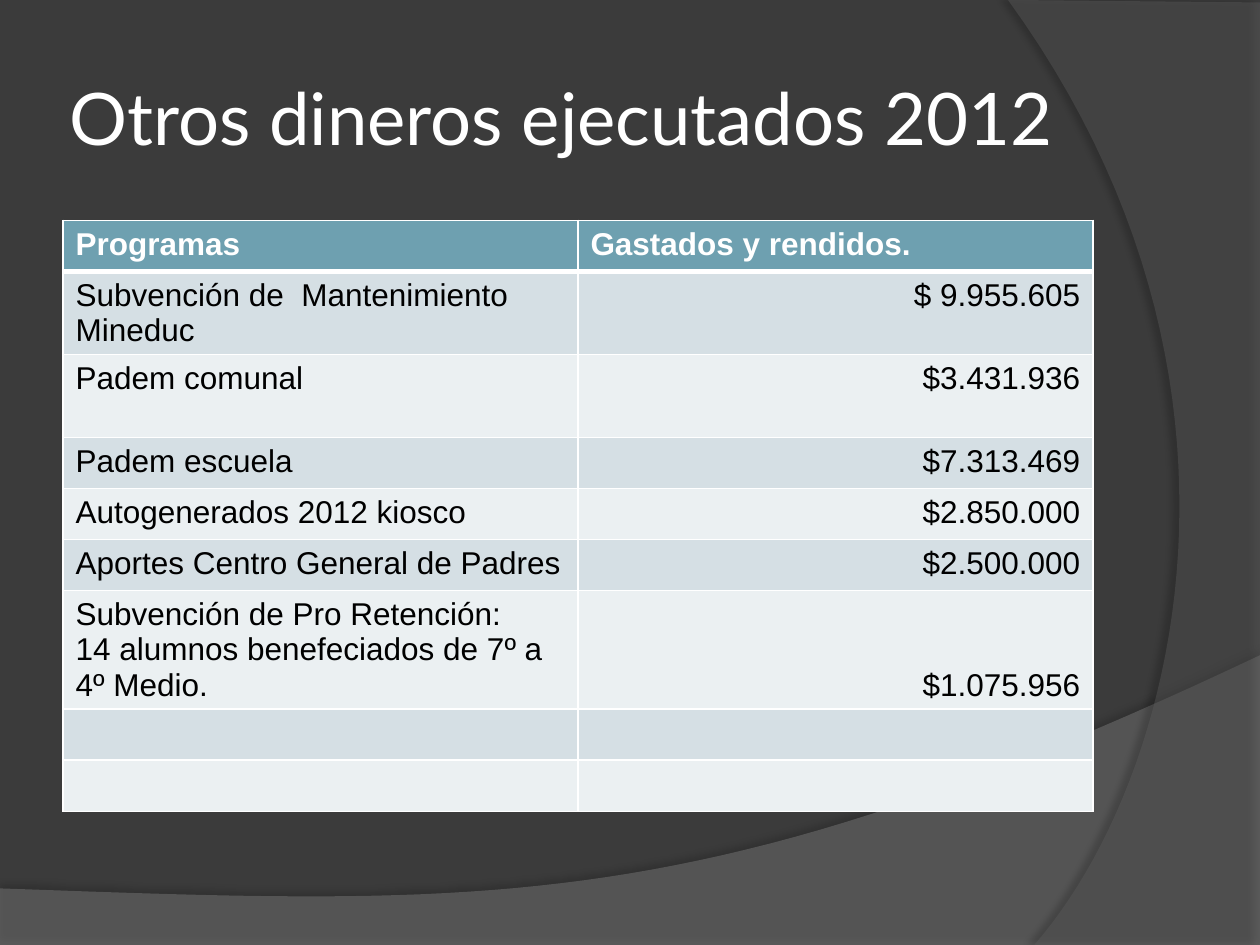
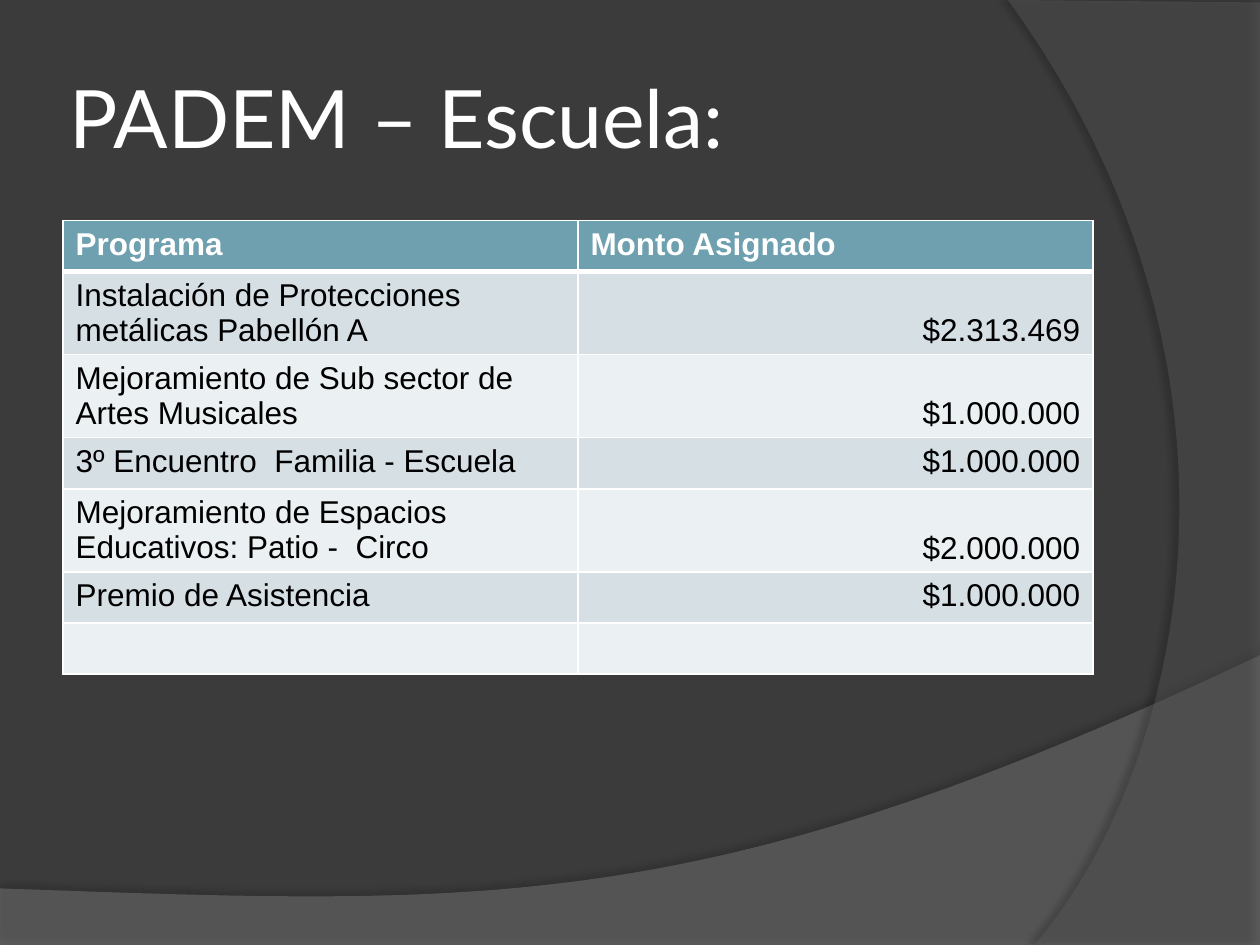
from lxml import etree
from pptx import Presentation
from pptx.dml.color import RGBColor
from pptx.enum.text import MSO_ANCHOR as Anchor, MSO_AUTO_SIZE as AutoSize, PP_ALIGN as Align
from pptx.oxml.ns import qn
from pptx.util import Cm, Pt

COLORS = {
    "background": "3B3B3B", "wave": "7F7F7F", "arc": "5E5E5E", "shadow": "000000",
    "header": "6EA0B0", "odd": "D5DFE4", "even": "EBF0F2",
    "light": "FFFFFF", "dark": "000000",
}
TITLE_FONT, TABLE_FONT = "Lato", "Arial"
LEFT, COLUMN_WIDTH = 1.27, 10.38
CURVE_STEPS = 48

# Decorative bands: straight corners, then a curve from the last corner
# (two control points and an end), colour, opacity and shadow in percent, points, degrees
BANDS = [
    ([(0, 17.91), (0, 19.05), (25.4, 19.05), (25.4, 13.21)],
     [(14.2, 18.52), (9.93, 18.26), (0, 17.91)], "wave", 45, (35, 4, 3.5, 270)),
    ([(25.4, 0.05), (25.4, 19.05), (20.85, 19.05)],
     [(23.75, 15.72), (25.86, 7.62), (20.32, 0)], "arc", 40, (45, 4, 4, 180)),
]

# Each row: label paragraphs, amount, height in text lines, amount anchor
TOP, BOTTOM = Anchor.TOP, Anchor.BOTTOM
SLIDES = [
    ("Otros dineros ejecutados 2012", 41.4, ("Programas", "Gastados y rendidos."), [
        (["Subvención de  Mantenimiento Mineduc"], "$ 9.955.605", 2, TOP),
        (["Padem comunal"], "$3.431.936", 2, TOP),
        (["Padem escuela"], "$7.313.469", 1, TOP),
        (["Autogenerados 2012 kiosco"], "$2.850.000", 1, TOP),
        (["Aportes Centro General de Padres"], "$2.500.000", 1, TOP),
        (["Subvención de Pro Retención: ", "14 alumnos benefeciados de 7º a 4º Medio."],
         "$1.075.956", 3, BOTTOM),
        ([], "", 1, TOP),
        ([], "", 1, TOP),
    ]),
    ("PADEM – Escuela:", 46, ("Programa", "Monto Asignado"), [
        (["Instalación de Protecciones metálicas Pabellón A"], "$2.313.469", 2, BOTTOM),
        (["Mejoramiento de Sub sector de Artes Musicales"], "$1.000.000", 2, BOTTOM),
        (["3º Encuentro  Familia - Escuela"], "$1.000.000", 1, TOP),
        (["Mejoramiento de Espacios Educativos: Patio -  Circo"], "$2.000.000", 2, BOTTOM),
        (["Premio de Asistencia"], "$1.000.000", 1, TOP),
        ([], "", 1, TOP),
    ]),
]


def add_run(paragraph, text, font, size, color, bold=False):
    run = paragraph.add_run()
    run.text = text
    run.font.name, run.font.size, run.font.bold = font, Pt(size), bold
    run.font.color.rgb = RGBColor.from_string(COLORS[color])


def add_color(parent, color, opacity=100):
    element = etree.SubElement(parent, qn("a:srgbClr"), val=COLORS[color])
    if opacity < 100:
        etree.SubElement(element, qn("a:alpha"), val=str(opacity * 1000))


presentation = Presentation()
presentation.slide_width, presentation.slide_height = Cm(25.4), Cm(19.05)

# Shared background on the title-only layout, without its date, footer and number
layout = presentation.slide_layouts[5]
layout.background.fill.solid()
layout.background.fill.fore_color.rgb = RGBColor.from_string(COLORS["background"])
for placeholder in list(layout.placeholders)[1:]:
    layout.shapes.element.remove(placeholder.element)
slides = [presentation.slides.add_slide(layout) for _ in SLIDES]

# Shared bands, drawn once and moved to the back of the layout
for number, (corners, curve, color, opacity, shadow) in enumerate(BANDS):
    points = list(corners)
    bezier = [corners[-1], *curve]
    for step in range(1, CURVE_STEPS + 1):
        t = step / CURVE_STEPS
        weights = ((1 - t) ** 3, 3 * t * (1 - t) ** 2, 3 * t ** 2 * (1 - t), t ** 3)
        points.append(tuple(sum(w * point[axis] for w, point in zip(weights, bezier))
                            for axis in (0, 1)))
    outline = [(Cm(x), Cm(y)) for x, y in points]
    builder = slides[0].shapes.build_freeform(*outline[0])
    builder.add_line_segments(outline[1:], close=True)
    band = builder.convert_to_shape()
    band.line.fill.background()
    properties = band.element.spPr
    fill = etree.Element(qn("a:solidFill"))
    add_color(fill, color, opacity)
    properties.find(qn("a:ln")).addprevious(fill)

    strength, blur, distance, angle = shadow
    effects = etree.SubElement(properties, qn("a:effectLst"))
    outer = etree.SubElement(effects, qn("a:outerShdw"), blurRad=str(Pt(blur)),
                             dist=str(Pt(distance)), dir=str(angle * 60000))
    add_color(outer, "shadow", strength)
    band.element.nvSpPr.cNvPr.set("id", str(101 + number))
    layout.shapes.element.insert(2 + number, band.element)

for slide, (title_text, title_size, headings, rows) in zip(slides, SLIDES):
    # Title
    title = slide.shapes.title
    title.left, title.top, title.width, title.height = Cm(LEFT), Cm(0.76), Cm(20.74), Cm(3.18)
    frame = title.text_frame
    frame.auto_size, frame.word_wrap = AutoSize.NONE, True
    frame.vertical_anchor = Anchor.MIDDLE
    frame.margin_left = frame.margin_right = frame.margin_top = frame.margin_bottom = Cm(0.13)
    frame.paragraphs[0].alignment = Align.LEFT
    add_run(frame.paragraphs[0], title_text, TITLE_FONT, title_size, "light")

    # Table, with row heights that follow the number of text lines
    table_rows = [([headings[0]], headings[1], 1, TOP), *rows]
    heights = [Cm(max(1.03, 0.25 + 0.71 * lines)) for _, _, lines, _ in table_rows]
    table = slide.shapes.add_table(len(table_rows), 2, Cm(LEFT), Cm(4.44),
                                   Cm(2 * COLUMN_WIDTH), sum(heights)).table
    for column in table.columns:
        column.width = Cm(COLUMN_WIDTH)

    for index, (labels, amount, _, anchor) in enumerate(table_rows):
        table.rows[index].height = heights[index]
        is_header = index == 0
        fill_color = "header" if is_header else ("odd" if index % 2 else "even")
        for column, texts in enumerate((labels, [amount] if amount else [])):
            cell = table.cell(index, column)
            cell.vertical_anchor = anchor if column else TOP

            # White borders, thick under the header
            cell_properties = cell._tc.get_or_add_tcPr()
            for side in "LRTB":
                thick = (index, side) in ((0, "B"), (1, "T"))
                border = etree.SubElement(cell_properties, qn(f"a:ln{side}"),
                                          w=str(Pt(3 if thick else 1)))
                add_color(etree.SubElement(border, qn("a:solidFill")), "light")
            cell.fill.solid()
            cell.fill.fore_color.rgb = RGBColor.from_string(COLORS[fill_color])

            # Cell text
            for position, text in enumerate(texts):
                frame = cell.text_frame
                paragraph = frame.add_paragraph() if position else frame.paragraphs[0]
                paragraph.alignment = Align.RIGHT if column and not is_header else Align.LEFT
                add_run(paragraph, text, TABLE_FONT, 18,
                        "light" if is_header else "dark", is_header)

presentation.save("out.pptx")
